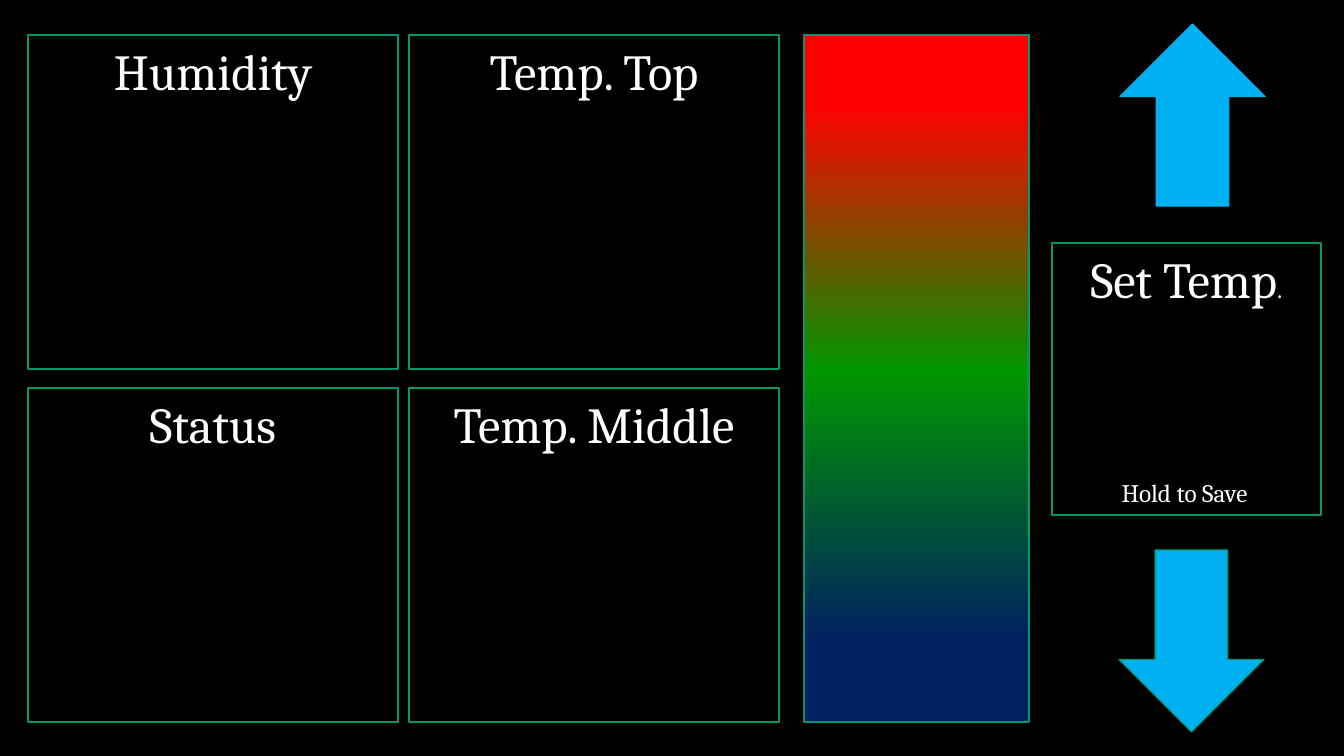
"""Builds the control panel slide of a climate chamber."""
from copy import deepcopy

from pptx import Presentation
from pptx import util as u
from pptx.dml.color import RGBColor
from pptx.enum import shapes, text
from pptx.oxml.ns import qn

FONT = "Cambria"
BLACK, WHITE, GREEN, BLUE = "000000", "FFFFFF", "059670", "00B0F0"
SLIDE = (1344, 756)
TILES = [["Humidity", "Temp. Top"], ["Status", "Temp. Middle"]]
TILE_LEFT, TILE_TOP, TILE_W, TILE_H = 28, 35, 370, 334
GAP_X, GAP_Y = 11, 19
SET_BOX = (1052, 243, 269, 272)
SET_TITLE = [("Set Temp", 36), (".", 18)]
HINT_BOX = (1051, 472, 267, 40)
HINT = [("Hold to Save", 18)]
BAR_LEFT, BAR_W = 804, 225
HEAT = [(0.1, "FF0000"), (0.49, "009600"), (0.88, "002060")]
ARROWS = [((1120, 24, 145, 182), 180, BLUE), ((1119, 550, 145, 182), 0, GREEN)]
SCALE = 914400 / 100.8


def emu(*lengths):
    return [u.Emu(round(n * SCALE)) for n in lengths]


def rgb(code):
    return RGBColor.from_string(code)


def add_figure(s, kind, box, line=GREEN):
    sp = s.shapes.add_shape(kind, *emu(*box))
    sp.shadow.inherit = False
    sp.fill.background()
    sp.line.color.rgb = rgb(line)
    sp.line.width = u.Pt(1)
    return sp


def write(sp, runs):
    tf = sp.text_frame
    tf.word_wrap = True
    tf.vertical_anchor = text.MSO_ANCHOR.TOP
    p = tf.paragraphs[0]
    p.alignment = text.PP_ALIGN.CENTER
    for words, size in runs:
        r = p.add_run()
        r.text = words
        r.font.name = FONT
        r.font.size = u.Pt(size)
        r.font.color.rgb = rgb(WHITE)


def add_panel(s, box, runs):
    write(add_figure(s, shapes.MSO_SHAPE.RECTANGLE, box), runs)


def add_heat_bar(s, box):
    sp = add_figure(s, shapes.MSO_SHAPE.RECTANGLE, box)
    sp.fill.gradient()
    sp.fill.gradient_angle = 270
    stops = next(sp.element.iter(qn("a:gsLst")))
    stops.insert(1, deepcopy(stops[0]))
    for stop, (position, color) in zip(sp.fill.gradient_stops, HEAT):
        stop.position = position
        stop.color.rgb = rgb(color)


def main():
    prs = Presentation()
    prs.slide_width, prs.slide_height = emu(*SLIDE)
    s = prs.slides.add_slide(prs.slide_layouts[6])
    s.background.fill.solid()
    s.background.fill.fore_color.rgb = rgb(BLACK)

    for box, turn, line in ARROWS:
        sp = add_figure(s, shapes.MSO_SHAPE.DOWN_ARROW, box, line)
        sp.fill.solid()
        sp.fill.fore_color.rgb = rgb(BLUE)
        sp.rotation = turn

    for row, titles in enumerate(TILES):
        for col, title in enumerate(titles):
            left = TILE_LEFT + col * (TILE_W + GAP_X)
            top = TILE_TOP + row * (TILE_H + GAP_Y)
            add_panel(s, (left, top, TILE_W, TILE_H), [(title, 36)])

    add_panel(s, SET_BOX, SET_TITLE)
    add_heat_bar(s, (BAR_LEFT, TILE_TOP, BAR_W, 2 * TILE_H + GAP_Y))
    write(s.shapes.add_textbox(*emu(*HINT_BOX)), HINT)
    prs.save("out.pptx")


if __name__ == "__main__":
    main()
